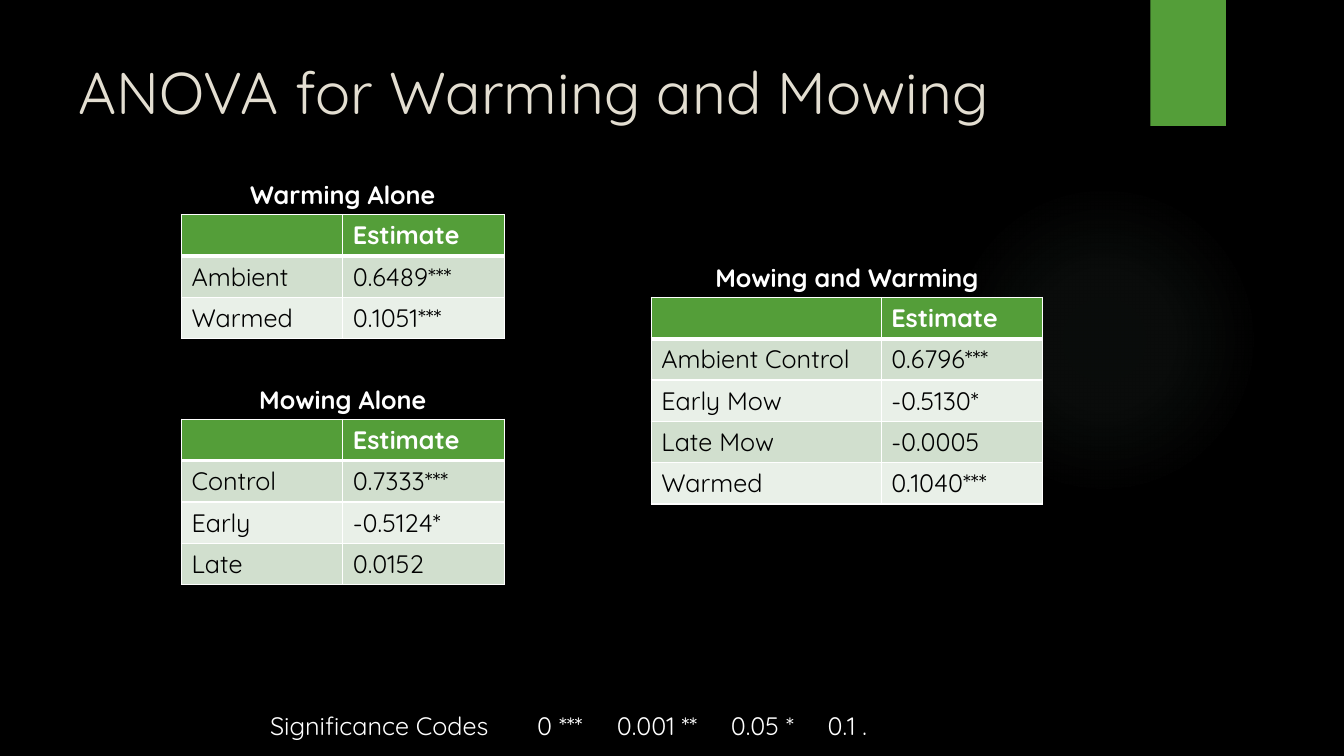
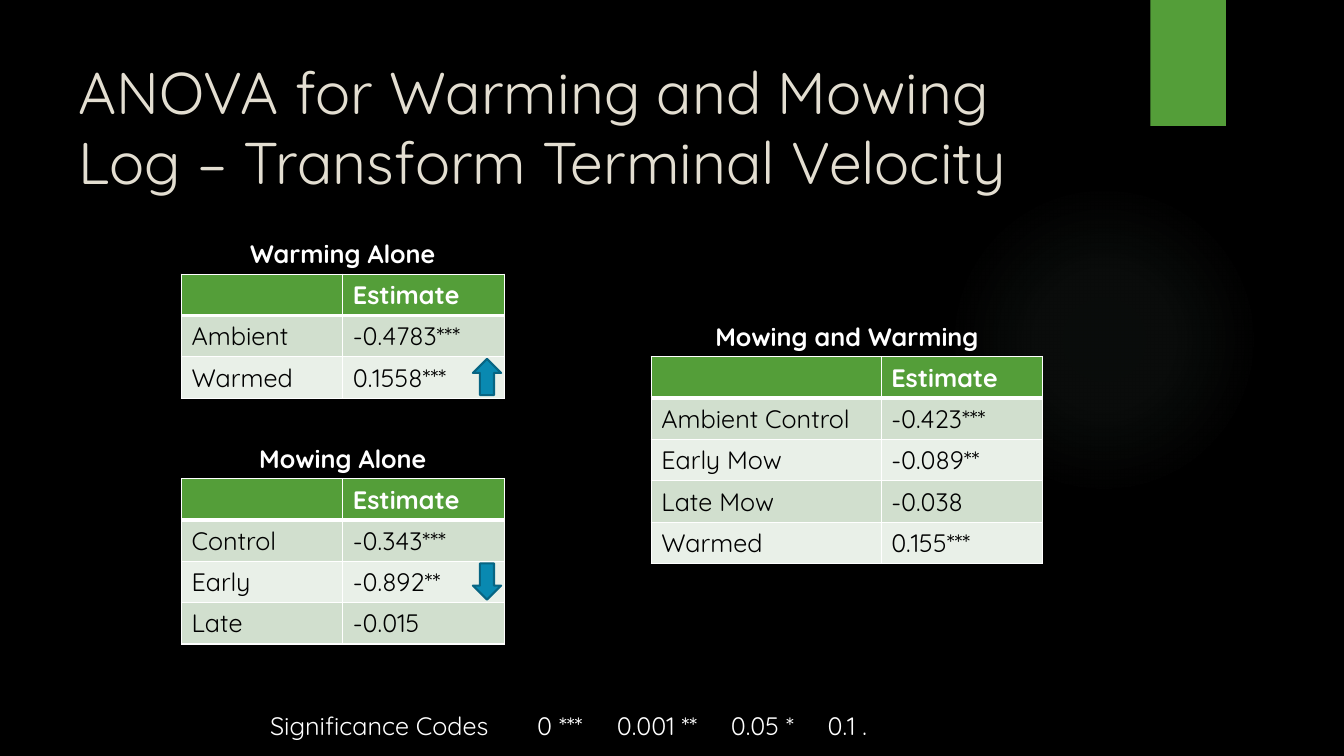
from lxml.etree import SubElement
from pptx import Presentation
from pptx.dml.color import RGBColor
from pptx.enum.shapes import MSO_SHAPE
from pptx.enum.text import PP_ALIGN
from pptx.oxml import parse_xml
from pptx.oxml.ns import nsdecls, qn
from pptx.util import Pt

PX = 9144  # 100 px to the inch
FONT = "Quicksand"
COLORS = {
    "background": "000000",
    "title": "E3DED1",
    "white": "FFFFFF",
    "black": "000000",
    "green": "549E39",
    "band_dark": "D1DFCE",
    "band_light": "E9F0E8",
    "glow": "87A896",
    "arrow": "0989B1",
    "arrow_line": "076583",
}
GLOW_STOPS = [(0, 7), (36, 6), (69, 0)]  # position and opacity, percent

ROW_HEIGHT = 41
CAPTION_HEIGHT = 40
ESTIMATE_WIDTH = 160
# caption, left, top, label column width, row labels
TABLES = [
    ("Warming Alone", 180, 213, 160, ["Ambient", "Warmed"]),
    ("Mowing Alone", 180, 416, 160, ["Control", "Early", "Late"]),
    ("Mowing and Warming", 646, 295, 228,
     ["Ambient Control", "Early Mow", "Late Mow", "Warmed"]),
]
SIGNIFICANCE = ["Significance Codes", "0 ***", "0.001 **", "0.05 *", "0.1 ."]
SIGNIFICANCE_TABS = [265, 344, 457, 553]

# "arrows" maps a table caption to the arrow shape in its second body row
SLIDES = [
    {
        "title": "ANOVA for Warming and Mowing",
        "shift": 0,
        "estimates": [
            ["0.6489***", "0.1051***"],
            ["0.7333***", "-0.5124*", "0.0152"],
            ["0.6796***", "-0.5130*", "-0.0005", "0.1040***"],
        ],
        "arrows": {},
    },
    {
        "title": "ANOVA for Warming and Mowing\vLog – Transform Terminal Velocity",
        "shift": 59,
        "estimates": [
            ["-0.4783***", "0.1558***"],
            ["-0.343***", "-0.892**", "-0.015"],
            ["-0.423***", "-0.089**", "-0.038", "0.155***"],
        ],
        "arrows": {
            "Warming Alone": MSO_SHAPE.UP_ARROW,
            "Mowing Alone": MSO_SHAPE.DOWN_ARROW,
        },
    },
]


def color(name):
    return RGBColor.from_string(COLORS[name])


def emu(*lengths):
    return [length * PX for length in lengths]


def set_fill(target, name):
    target.fill.solid()
    target.fill.fore_color.rgb = color(name)


def style_paragraph(paragraph, size, color_name, bold=False):
    font = paragraph.font
    font.name = FONT
    font.size = Pt(size)
    font.bold = bold
    font.color.rgb = color(color_name)


def add_text(slide, box, text, size, color_name, bold=False, align=PP_ALIGN.LEFT):
    frame = slide.shapes.add_textbox(*emu(*box)).text_frame
    frame.word_wrap = True
    paragraph = frame.paragraphs[0]
    paragraph.text = text
    paragraph.alignment = align
    style_paragraph(paragraph, size, color_name, bold)
    return paragraph


def add_shape(slide, kind, box, fill, line=None):
    shape = slide.shapes.add_shape(kind, *emu(*box))
    shape.shadow.inherit = False
    set_fill(shape, fill)
    if line:
        shape.line.color.rgb = color(line)
        shape.line.width = Pt(1.5)
    else:
        shape.line.fill.background()
    return shape


def add_glow(slide):
    """Add a faint circle that fades out towards its edge."""
    shape = add_shape(slide, MSO_SHAPE.OVAL, (941, 183, 308, 308), "glow")
    stops = "".join(
        f'<a:gs pos="{position * 1000}"><a:srgbClr val="{COLORS["glow"]}">'
        f'<a:alpha val="{opacity * 1000}"/></a:srgbClr></a:gs>'
        for position, opacity in GLOW_STOPS
    )
    gradient = parse_xml(
        f'<a:gradFill {nsdecls("a")} rotWithShape="1"><a:gsLst>{stops}</a:gsLst>'
        '<a:path path="circle">'
        '<a:fillToRect l="50000" t="50000" r="50000" b="50000"/>'
        "</a:path></a:gradFill>"
    )
    properties = shape.element.spPr
    properties.replace(properties.find(qn("a:solidFill")), gradient)


def set_borders(cell, top, bottom):
    """Draw white borders, 1 pt at the sides and the given points elsewhere."""
    properties = cell._tc.get_or_add_tcPr()
    for side, points in (("L", 1), ("R", 1), ("T", top), ("B", bottom)):
        line = SubElement(properties, qn(f"a:ln{side}"), w=str(Pt(points)))
        fill = SubElement(line, qn("a:solidFill"))
        SubElement(fill, qn("a:srgbClr"), val=COLORS["white"])


def style_cell(cell, row_index):
    header = row_index == 0
    set_borders(cell, 3 if row_index == 1 else 1, 3 if header else 1)
    if header:
        set_fill(cell, "green")
    else:
        set_fill(cell, "band_dark" if row_index % 2 else "band_light")
    style_paragraph(cell.text_frame.paragraphs[0], 18,
                    "white" if header else "black", header)


def add_captioned_table(slide, caption, left, top, label_width, rows):
    widths = [label_width, ESTIMATE_WIDTH]
    add_text(slide, (left, top - CAPTION_HEIGHT, sum(widths), CAPTION_HEIGHT),
             caption, 18, "white", True, PP_ALIGN.CENTER)
    rows = [("", "Estimate"), *rows]
    box = emu(left, top, sum(widths), ROW_HEIGHT * len(rows))
    table = slide.shapes.add_table(len(rows), len(widths), *box).table
    for column, width in zip(table.columns, widths):
        column.width = width * PX
    for row_index, values in enumerate(rows):
        table.rows[row_index].height = ROW_HEIGHT * PX
        for cell, value in zip(table.rows[row_index].cells, values):
            cell.text = value
            style_cell(cell, row_index)


def add_significance_codes(slide):
    paragraph = add_text(slide, (258, 700, 700, 40), "\t".join(SIGNIFICANCE),
                         18, "white")
    tab_list = parse_xml(f'<a:tabLst {nsdecls("a")}/>')
    for position in SIGNIFICANCE_TABS:
        SubElement(tab_list, qn("a:tab"), pos=str(position * PX), algn="l")
    paragraph._p.pPr.find(qn("a:defRPr")).addprevious(tab_list)


def add_base_slide(presentation, title):
    """Add a slide with the shared background, decoration, title and footer."""
    slide = presentation.slides.add_slide(presentation.slide_layouts[6])
    set_fill(slide.background, "background")
    add_glow(slide)
    add_shape(slide, MSO_SHAPE.RECTANGLE, (1141, 0, 75, 125), "green")
    add_text(slide, (68, 50, 1029, 153), title, 42, "title")
    add_significance_codes(slide)
    return slide


def main():
    presentation = Presentation()
    presentation.slide_width, presentation.slide_height = emu(1333, 750)
    for content in SLIDES:
        slide = add_base_slide(presentation, content["title"])
        for table, estimates in zip(TABLES, content["estimates"]):
            caption, left, base_top, label_width, labels = table
            top = base_top + content["shift"]
            add_captioned_table(slide, caption, left, top, label_width,
                                list(zip(labels, estimates)))
            if caption in content["arrows"]:
                box = (left + 289, top + 2 * ROW_HEIGHT + 2, 28, 36)
                add_shape(slide, content["arrows"][caption], box,
                          "arrow", "arrow_line")
    presentation.save("out.pptx")


if __name__ == "__main__":
    main()
